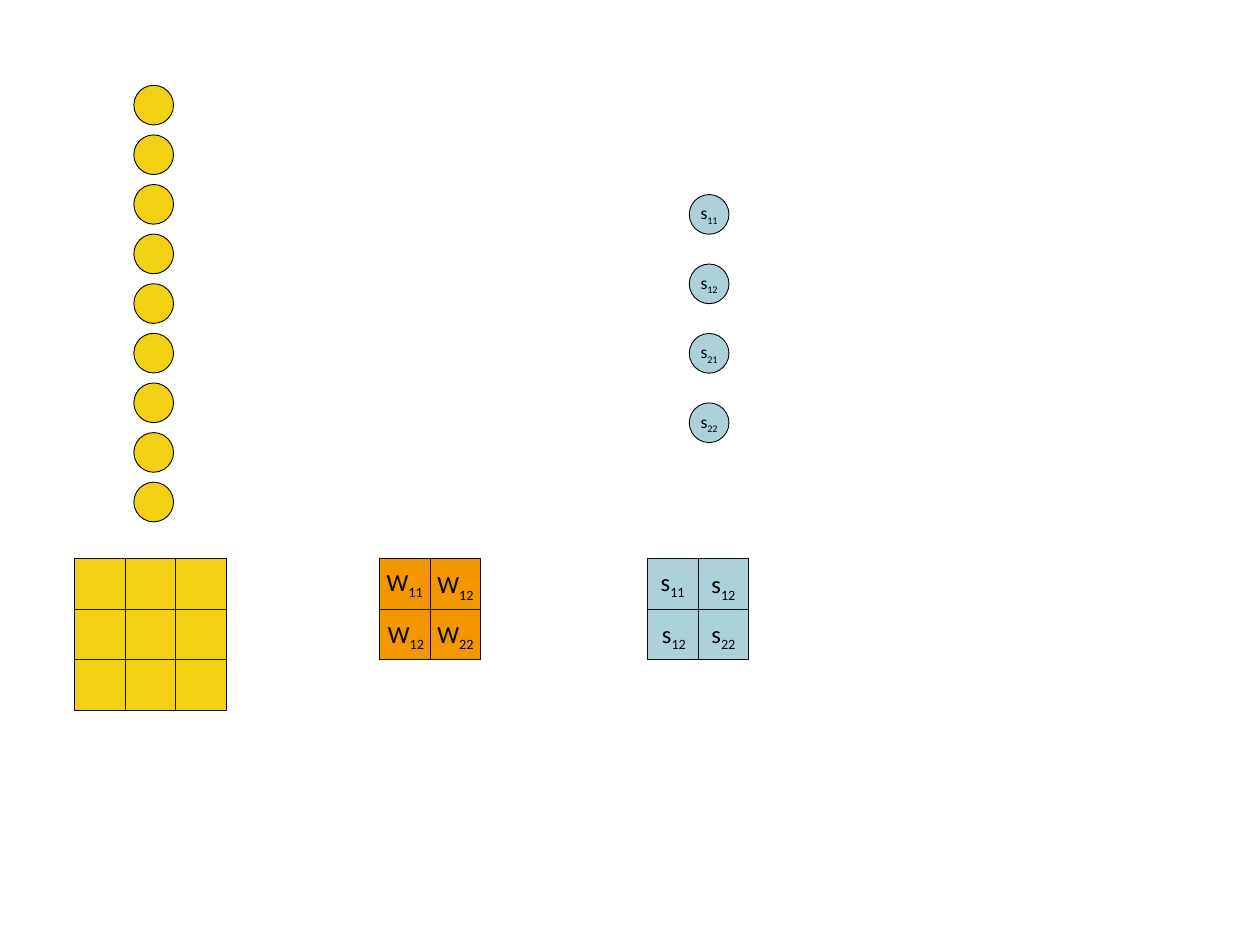
import pptx
import pptx.util
import pptx.dml.color
import pptx.enum.shapes
import pptx.enum.text

Pt = pptx.util.Pt
RGBColor = pptx.dml.color.RGBColor
MSO_SHAPE = pptx.enum.shapes.MSO_SHAPE

YELLOW = RGBColor(0xF2, 0xD1, 0x15)
ORANGE = RGBColor(0xF3, 0x96, 0x00)
TEAL = RGBColor(0xAC, 0xD1, 0xD8)
BLACK = RGBColor(0, 0, 0)
NEAR_BLACK = RGBColor(0x0D, 0x0D, 0x0D)

SUBSCRIPTS = ("11", "12", "21", "22")
# The grids repeat index 12 in the lower-left cell.
GRID_SUBSCRIPTS = ("11", "12", "12", "22")
CELL_INSETS = ((0, 0), (0, 2.88), (1.44, 1.76), (0, 1.44))


def add_node(shapes, kind, box, fill, line):
    """Add one outlined shape in box (left, top, width, height)."""
    sp = shapes.add_shape(kind, *(Pt(v) for v in box))
    sp.shadow.inherit = False
    sp.fill.solid()
    sp.fill.fore_color.rgb = fill
    sp.line.color.rgb = line
    sp.line.width = Pt(0.5)
    return sp


def set_label(sp, letter, subscript, size, inset=(0, 0)):
    """Write a centred letter with a subscript."""
    tf = sp.text_frame
    tf.margin_left, tf.margin_top = (Pt(v) for v in inset)
    tf.margin_right = tf.margin_bottom = 0
    tf.vertical_anchor = pptx.enum.text.MSO_ANCHOR.MIDDLE
    p = tf.paragraphs[0]
    p.alignment = pptx.enum.text.PP_ALIGN.CENTER
    for text in (letter, subscript):
        r = p.add_run()
        r.text = text
        r.font.name = "Calibri"
        r.font.size = Pt(size)
        r.font.color.rgb = BLACK
    r._r.get_or_add_rPr().set("baseline", "-25000")


def add_neurons(s, box, count, fill, letter=None):
    """Spread a column of circles evenly over the height of box."""
    left, top, size, height = box
    pitch = (height - size) / (count - 1)
    for i in range(count):
        circle = (left, top + i * pitch, size, size)
        sp = add_node(s.shapes, MSO_SHAPE.OVAL, circle, fill, BLACK)
        if letter:
            set_label(sp, letter, SUBSCRIPTS[i], 10)


def add_matrix(s, box, count, fill, letter=None):
    """Fill a square box with a grouped grid of count by count cells."""
    left, top, width, height = box
    w, h = width / count, height / count
    group = s.shapes.add_group_shape()
    for i in range(count * count):
        row, col = divmod(i, count)
        cell = (left + col * w, top + row * h, w, h)
        sp = add_node(group.shapes, MSO_SHAPE.RECTANGLE, cell, fill, NEAR_BLACK)
        if letter:
            set_label(sp, letter, GRID_SUBSCRIPTS[i], 14, CELL_INSETS[i])


def main():
    """Build the slide and save it."""
    prs = pptx.Presentation()
    prs.slide_width, prs.slide_height = Pt(720), Pt(540)
    s = prs.slides.add_slide(prs.slide_layouts[6])
    add_neurons(s, (76.5, 48.75, 22.68, 249.48), 9, YELLOW)
    add_matrix(s, (42.5, 319, 87, 87), 3, YELLOW)
    add_neurons(s, (393.9, 111.2, 22.68, 141.75), 4, TEAL, "s")
    add_matrix(s, (216.8, 319, 58, 58), 2, ORANGE, "W")
    add_matrix(s, (369.9, 319, 58, 58), 2, TEAL, "s")
    prs.save("out.pptx")


if __name__ == "__main__":
    main()
